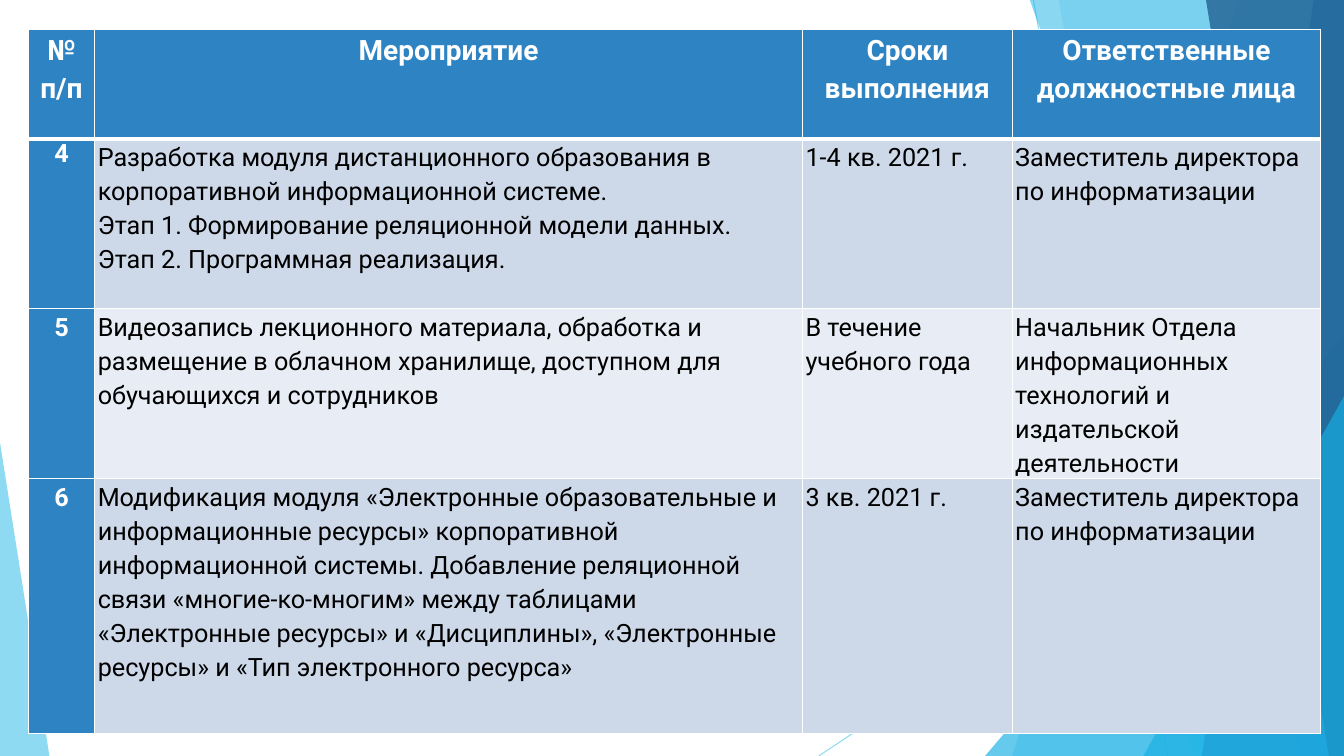
from lxml import etree
from pptx import Presentation
from pptx.dml.color import RGBColor
from pptx.enum.shapes import MSO_CONNECTOR, MSO_SHAPE
from pptx.enum.text import PP_ALIGN
from pptx.oxml.ns import qn
from pptx.util import Inches, Pt

WHITE = RGBColor(0xFF, 0xFF, 0xFF)
BLACK = RGBColor(0, 0, 0)
SKY = RGBColor(0x5F, 0xCB, 0xEF)
CYAN = RGBColor(0x17, 0xB0, 0xE4)
BLUE = RGBColor(0x2E, 0x83, 0xC3)
NAVY = RGBColor(0x22, 0x62, 0x92)
BAND_DARK = RGBColor(0xCD, 0xD9, 0xE9)
BAND_LIGHT = RGBColor(0xE8, 0xED, 0xF5)
FONT = "Roboto"

WIDTH, HEIGHT = 13.33, 7.5
TOP = -0.01

HEADERS = ["№ п/п", "Мероприятие", "Сроки выполнения", "Ответственные должностные лица"]
ACTIVITIES = [
    ("4",
     "Разработка модуля дистанционного образования в корпоративной информационной системе.\n"
     "Этап 1. Формирование реляционной модели данных.\n"
     "Этап 2. Программная реализация.",
     "1-4 кв. 2021 г.",
     "Заместитель директора по информатизации"),
    ("5",
     "Видеозапись лекционного материала, обработка и размещение в облачном хранилище, "
     "доступном для обучающихся и сотрудников",
     "В течение учебного года",
     "Начальник Отдела информационных технологий и издательской деятельности"),
    ("6",
     "Модификация модуля «Электронные образовательные и информационные ресурсы» корпоративной "
     "информационной системы. Добавление реляционной связи «многие-ко-многим» между таблицами "
     "«Электронные ресурсы» и «Дисциплины», «Электронные ресурсы» и «Тип электронного ресурса»",
     "3 кв. 2021 г.",
     "Заместитель директора по информатизации"),
]
COLUMN_WIDTHS = [0.66, 7.02, 2.08, 3.06]
ROW_HEIGHTS = [1.09, 1.68, 1.69, 2.53]

RAYS = [((10.25, 0), (11.58, HEIGHT)), ((WIDTH, 4.03), (8.12, HEIGHT))]
# top-left x, bottom-left x for panels; left, top, width, apex for triangles
FACETS = [
    ("panel", (12.28, 10.04), SKY, 36),
    ("panel", (10.5, 11.83), SKY, 20),
    ("triangle", (9.77, 3.33, 3.56, 1), CYAN, 66),
    ("panel", (10.21, 12.91), CYAN, 50),
    ("panel", (13.03, 11.92), BLUE, 70),
    ("panel", (11.96, 13.18), NAVY, 80),
    ("triangle", (11.34, 3.93, 1.99, 1), CYAN, 66),
    ("triangle", (0, 4.39, 0.49, 0), SKY, 70),
]


def set_opacity(element, percent):
    for color in element.iter(qn("a:srgbClr")):
        etree.SubElement(color, qn("a:alpha"), val=str(percent * 1000))


def add_ray(page, start, end):
    ray = page.shapes.add_connector(
        MSO_CONNECTOR.STRAIGHT, *(Inches(value) for value in start + end))
    ray.line.color.rgb = SKY
    ray.line.width = Pt(0.75)
    properties = ray._element.spPr
    set_opacity(properties, 70)
    etree.SubElement(properties, qn("a:effectLst"))


def add_facet(page, kind, geometry, color, opacity):
    if kind == "panel":
        top_x, bottom_x = geometry
        builder = page.shapes.build_freeform(Inches(top_x), Inches(TOP))
        corners = [(WIDTH, TOP), (WIDTH, HEIGHT), (bottom_x, HEIGHT)]
        builder.add_line_segments([(Inches(x), Inches(y)) for x, y in corners], close=True)
        facet = builder.convert_to_shape()
    else:
        left, top, width, apex = geometry
        facet = page.shapes.add_shape(
            MSO_SHAPE.ISOSCELES_TRIANGLE, Inches(left), Inches(top),
            Inches(width), Inches(HEIGHT - top))
        facet.adjustments[0] = apex
    facet.shadow.inherit = False
    facet.fill.solid()
    facet.fill.fore_color.rgb = color
    facet.line.fill.background()
    set_opacity(facet._element.spPr, opacity)


def set_borders(cell, row):
    thick_side = {0: "B", 1: "T"}.get(row)
    properties = cell._tc.get_or_add_tcPr()
    for side in "LRTB":
        points = 3 if side == thick_side else 1
        border = etree.SubElement(properties, qn(f"a:ln{side}"), w=str(Pt(points)))
        fill = etree.SubElement(border, qn("a:solidFill"))
        etree.SubElement(fill, qn("a:srgbClr"), val=str(WHITE))


def fill_cell(cell, content, row, column):
    is_label = row == 0 or column == 0
    set_borders(cell, row)
    cell.fill.solid()
    cell.fill.fore_color.rgb = BLUE if is_label else BAND_DARK if row % 2 else BAND_LIGHT
    cell.margin_left = cell.margin_right = Inches(0.03 if row else 0.06)
    cell.margin_top = cell.margin_bottom = 0
    cell.text = content
    paragraphs = cell.text_frame.paragraphs
    for para in paragraphs:
        para.alignment = PP_ALIGN.CENTER if is_label else PP_ALIGN.LEFT
        if (row, column) != (1, 0):
            para.line_spacing = 1.15
            para.space_after = Pt(10 if len(paragraphs) == 1 else 0)
        para.font.name = FONT
        para.font.size = Pt(18 if row else 20)
        para.font.bold = is_label
        para.font.color.rgb = WHITE if is_label else BLACK


def add_plan(page):
    rows = [HEADERS, *ACTIVITIES]
    table = page.shapes.add_table(
        len(rows), len(HEADERS), Inches(0.28), Inches(0.29),
        Inches(sum(COLUMN_WIDTHS)), Inches(sum(ROW_HEIGHTS))).table
    table.horz_banding = False
    for column, width in zip(table.columns, COLUMN_WIDTHS):
        column.width = Inches(width)
    for row, height in zip(table.rows, ROW_HEIGHTS):
        row.height = Inches(height)
    for row, contents in enumerate(rows):
        for column, content in enumerate(contents):
            fill_cell(table.cell(row, column), content, row, column)


def main():
    deck = Presentation()
    deck.slide_width, deck.slide_height = Inches(WIDTH), Inches(HEIGHT)
    page = deck.slides.add_slide(deck.slide_layouts[6])
    page.background.fill.solid()
    page.background.fill.fore_color.rgb = WHITE
    for start, end in RAYS:
        add_ray(page, start, end)
    for facet in FACETS:
        add_facet(page, *facet)
    add_plan(page)
    deck.save("out.pptx")


if __name__ == "__main__":
    main()
